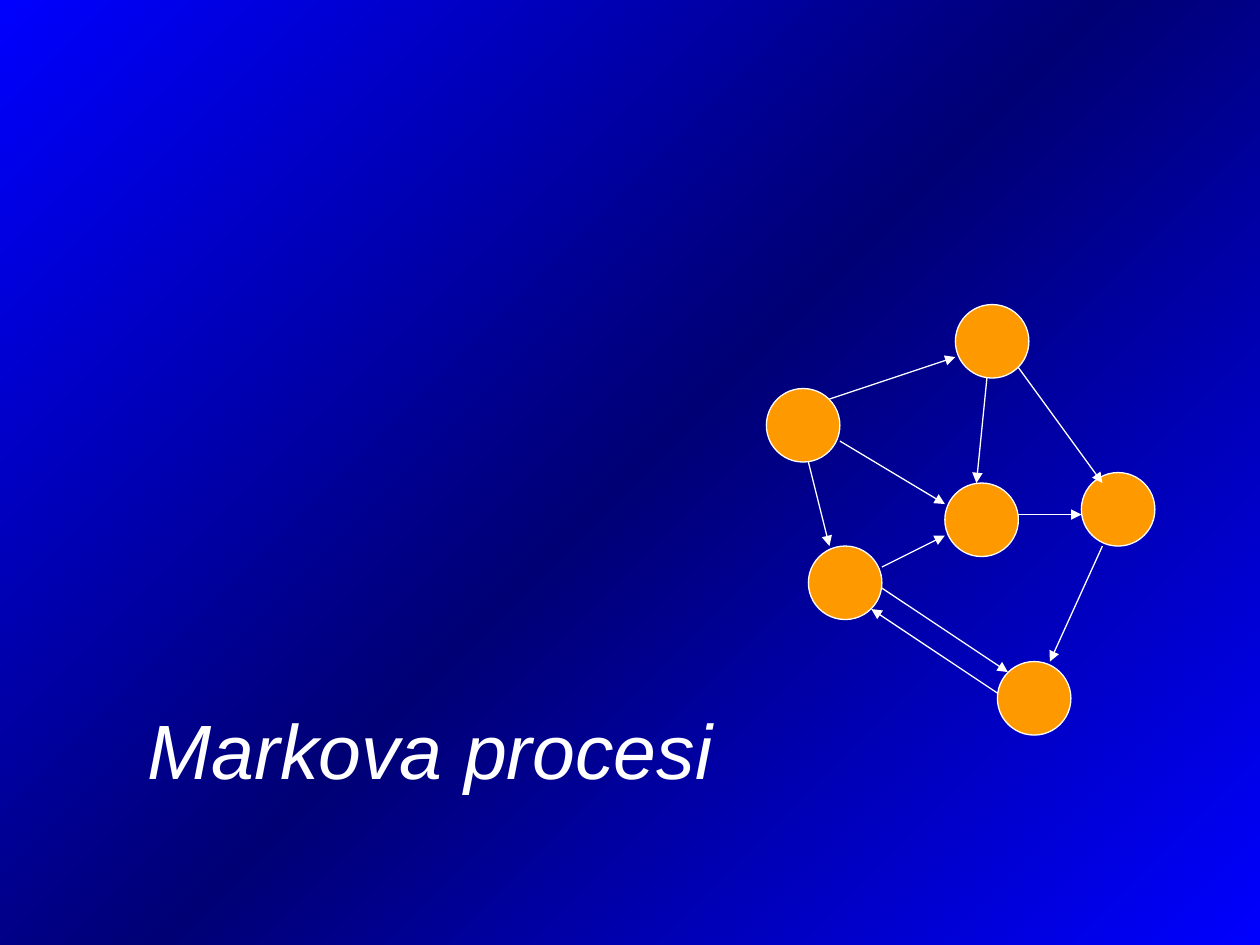
from copy import deepcopy

from lxml.etree import SubElement
from pptx import Presentation
from pptx.dml.color import RGBColor
from pptx.enum.shapes import MSO_CONNECTOR, MSO_SHAPE
from pptx.enum.text import MSO_ANCHOR, MSO_AUTO_SIZE, PP_ALIGN
from pptx.oxml.ns import qn
from pptx.util import Cm, Pt

WHITE, ORANGE = "FFFFFF", "FF9900"
BRIGHT_BLUE, DARK_BLUE = "0000FF", "000075"
GRID = Cm(2.54) / 12
STATE_SIZE = 7
STATES = [(0, 8), (18, 0), (30, 16), (4, 23), (22, 34), (17, 17)]
TRANSITIONS = [
    ((7, 13), (17, 19)),
    ((11, 25), (17, 22)),
    ((4, 15), (6, 23)),
    ((11, 27), (23, 35)),
    ((22, 37), (10, 29)),
    ((32, 23), (27, 34)),
    ((24, 6), (32, 17)),
    ((24, 20), (30, 20)),
    ((21, 7), (20, 17)),
    ((6, 9), (18, 5)),
]


def color(value):
    return RGBColor.from_string(value)


def outline(line):
    line.color.rgb = color(WHITE)
    line.width = Pt(0.74)


def paint_background(slide):
    fill = slide.background.fill
    fill.gradient()
    fill.gradient_angle = 315
    stops = slide.element.find(".//" + qn("a:gsLst"))
    stops.insert(1, deepcopy(stops[0]))
    shades = [(0, BRIGHT_BLUE), (0.5, DARK_BLUE), (1, BRIGHT_BLUE)]
    for stop, (position, shade) in zip(fill.gradient_stops, shades):
        stop.position = position
        stop.color.rgb = color(shade)


def place_title(slide, left, top, width, height):
    title = slide.shapes.title
    title.left, title.top, title.width, title.height = left, top, width, height
    frame = title.text_frame
    frame.word_wrap = True
    frame.auto_size = MSO_AUTO_SIZE.NONE
    frame.vertical_anchor = MSO_ANCHOR.TOP
    heading = frame.paragraphs[0]
    heading.alignment = PP_ALIGN.LEFT
    words = heading.add_run()
    words.text = "Markova procesi"
    words.font.name = "Arial"
    words.font.size = Pt(44)
    words.font.italic = True
    words.font.color.rgb = color(WHITE)


def draw_state_graph(slide, left, top):
    def place(point):
        column, row = point
        return round(left + column * GRID), round(top + row * GRID)

    diameter = round(STATE_SIZE * GRID)
    for corner in STATES:
        state = slide.shapes.add_shape(
            MSO_SHAPE.OVAL, *place(corner), diameter, diameter)
        state.shadow.inherit = False
        state.fill.solid()
        state.fill.fore_color.rgb = color(ORANGE)
        outline(state.line)

    for start, end in TRANSITIONS:
        transition = slide.shapes.add_connector(
            MSO_CONNECTOR.STRAIGHT, *place(start), *place(end))
        outline(transition.line)
        properties = transition.element.spPr
        SubElement(properties.find(qn("a:ln")), qn("a:tailEnd"), type="triangle")
        SubElement(properties, qn("a:effectLst"))


def build_title_slide(deck):
    slide = deck.slides.add_slide(deck.slide_layouts[5])
    paint_background(slide)
    place_title(slide, Cm(2.72), Cm(14.04), Cm(12.1), Cm(2.13))
    draw_state_graph(slide, Cm(15.45), Cm(6.14))


deck = Presentation()
deck.slide_width, deck.slide_height = Cm(25.4), Cm(19.05)
build_title_slide(deck)
deck.save("out.pptx")
